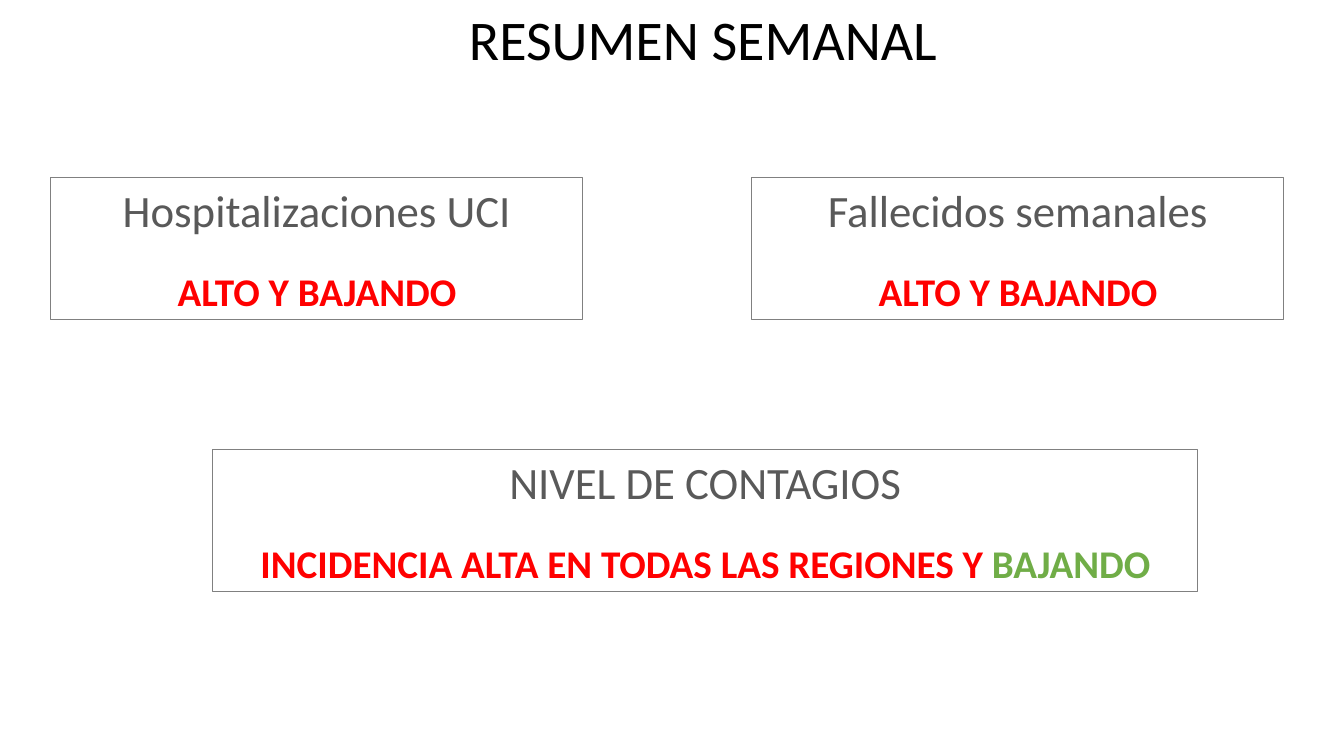
from dataclasses import dataclass

from pptx import Presentation
from pptx import util as u
from pptx.dml.color import RGBColor
from pptx.enum import shapes, text

PX = u.Inches(1) / 100.8


@dataclass(frozen=True)
class Theme:
    font: str = "Calibri"
    title_size: int = 40
    heading_size: int = 32
    status_size: int = 28
    status_gap: int = 22
    black: str = "000000"
    gray: str = "595959"
    border: str = "808080"
    red: str = "FF0000"
    green: str = "70AD47"


THEME = Theme()


def px(*lengths):
    return [u.Emu(round(length * PX)) for length in lengths]


def write(para, size, spans, bold=False):
    para.font.name = THEME.font
    para.font.size = u.Pt(size)
    para.font.bold = bold
    for words, color in spans:
        span = para.add_run()
        span.text = words
        span.font.color.rgb = RGBColor.from_string(color)


def add_title(page, place, words):
    box = page.shapes.add_textbox(*px(*place))
    frame = box.text_frame
    frame.word_wrap = False
    frame.auto_size = text.MSO_AUTO_SIZE.SHAPE_TO_FIT_TEXT
    write(frame.paragraphs[0], THEME.title_size, [(words, THEME.black)])


def add_status_box(page, place, heading, status):
    box = page.shapes.add_shape(shapes.MSO_SHAPE.RECTANGLE, *px(*place))
    box.shadow.inherit = False
    box.fill.background()
    box.line.color.rgb = RGBColor.from_string(THEME.border)
    box.line.width = u.Pt(0.75)
    frame = box.text_frame
    frame.word_wrap = True
    frame.auto_size = text.MSO_AUTO_SIZE.SHAPE_TO_FIT_TEXT
    frame.vertical_anchor = text.MSO_ANCHOR.TOP
    write(frame.paragraphs[0], THEME.heading_size, [(heading, THEME.gray)])
    para = frame.add_paragraph()
    para.space_before = u.Pt(THEME.status_gap)
    write(para, THEME.status_size, status, bold=True)
    for para in frame.paragraphs:
        para.alignment = text.PP_ALIGN.CENTER


def main():
    deck = Presentation()
    deck.slide_width, deck.slide_height = px(1344, 756)
    page = deck.slides.add_slide(deck.slide_layouts[6])
    falling = [("ALTO Y BAJANDO", THEME.red)]
    incidence = [
        ("INCIDENCIA ALTA EN TODAS LAS REGIONES Y ", THEME.red),
        ("BAJANDO", THEME.green),
    ]
    add_title(page, (459, 0, 493, 78), "RESUMEN SEMANAL")
    add_status_box(page, (51, 178, 532, 142), "Hospitalizaciones UCI", falling)
    add_status_box(page, (752, 178, 532, 142), "Fallecidos semanales", falling)
    add_status_box(page, (213, 450, 985, 142), "NIVEL DE CONTAGIOS", incidence)
    deck.save("out.pptx")


if __name__ == "__main__":
    main()
